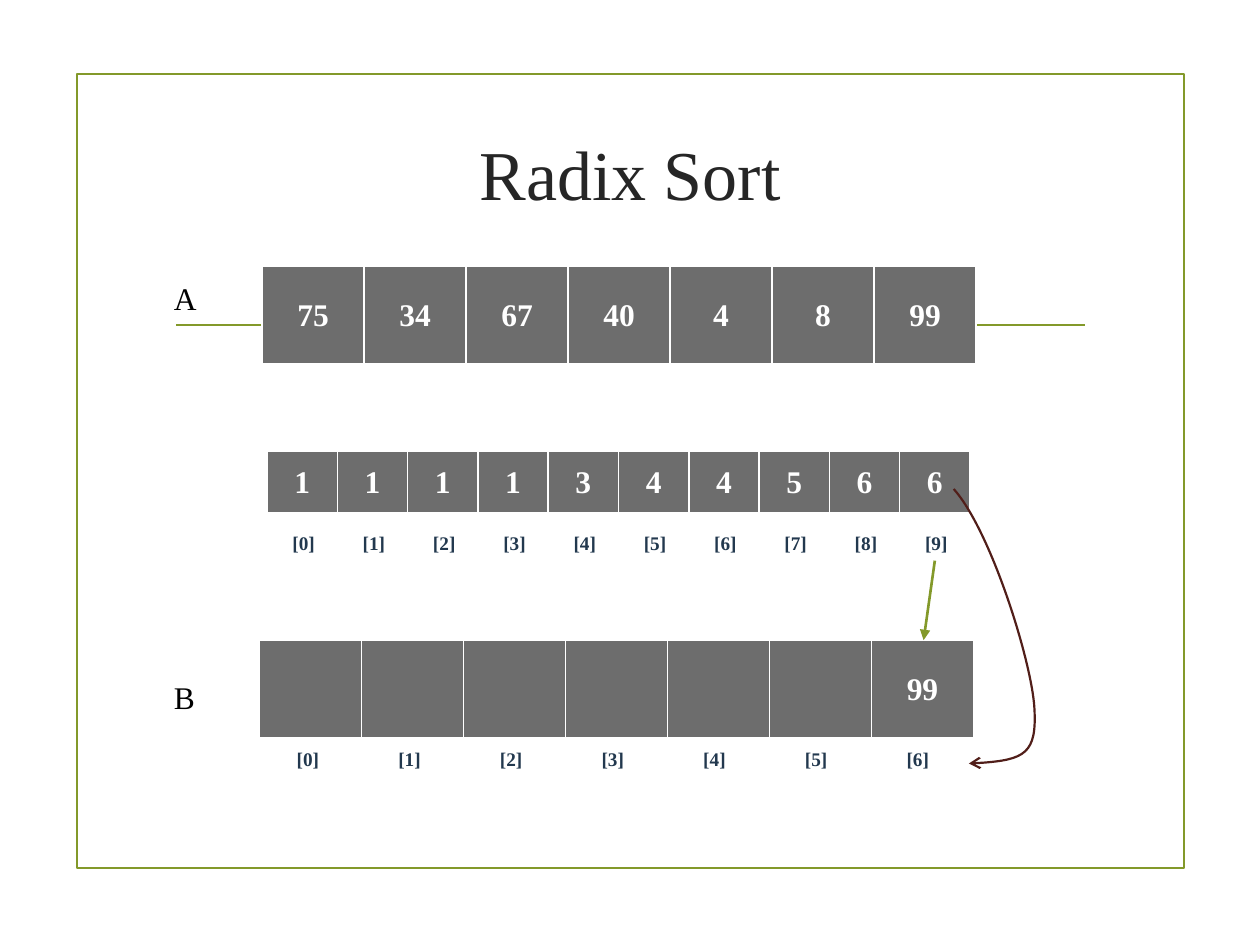
from dataclasses import dataclass
from typing import Optional

from lxml.etree import SubElement
from pptx import Presentation
from pptx.dml.color import RGBColor
from pptx.enum.shapes import MSO_CONNECTOR as Connector, MSO_SHAPE as Shape
from pptx.enum.text import MSO_ANCHOR as Anchor, MSO_AUTO_SIZE as AutoSize, PP_ALIGN as Align
from pptx.oxml.ns import qn
from pptx.util import Pt

FONT = "Times New Roman"
NO_STYLE = "{2D5ABB26-0587-4C30-8999-92F81FD0307C}"
COLORS = {
    "accent": "83992A",
    "title": "262626",
    "cell": "6D6D6D",
    "white": "FFFFFF",
    "index": "22384E",
    "letter": "000000",
    "curve": "511E19",
}
BORDERS = {"a:lnL": 1, "a:lnR": 1, "a:lnT": 1, "a:lnB": 3}


@dataclass
class ArrayRow:
    values: list[str]
    left: float
    top: float
    cell_width: float
    height: float
    size: float = 18
    color: str = "white"
    fill: Optional[str] = "cell"


@dataclass
class Letter:
    text: str
    left: float
    top: float


def indices(count: int) -> list[str]:
    return [f"[{number}]" for number in range(count)]


def rgb(name: str) -> RGBColor:
    return RGBColor.from_string(COLORS[name])


def format_para(para, size: float, color: str, bold: bool = False) -> None:
    for span in para.runs:
        span.font.name = FONT
        span.font.size = Pt(size)
        span.font.bold = bold
        span.font.color.rgb = rgb(color)


def set_line(line, color: str, width: float) -> None:
    line.color.rgb = rgb(color)
    line.width = Pt(width)


def add_arrowhead(shape, kind: str) -> None:
    SubElement(shape.line._get_or_add_ln(), qn("a:tailEnd"), type=kind)


def add_borders(cell) -> None:
    properties = cell._tc.get_or_add_tcPr()
    for position, (side, width) in enumerate(BORDERS.items()):
        border = SubElement(properties, qn(side), w=str(Pt(width)))
        fill = SubElement(border, qn("a:solidFill"))
        SubElement(fill, qn("a:srgbClr"), val=COLORS["white"])
        properties.insert(position, border)


def draw_array(slide, row: ArrayRow) -> None:
    count = len(row.values)
    frame = slide.shapes.add_table(
        1, count, Pt(row.left), Pt(row.top), Pt(row.cell_width * count), Pt(row.height)
    )
    table = frame.table
    table.first_row = table.horz_banding = False
    table._tbl.tblPr.find(qn("a:tableStyleId")).text = NO_STYLE
    for column, value in enumerate(row.values):
        table.columns[column].width = Pt(row.cell_width)
        cell = table.cell(0, column)
        cell.vertical_anchor = Anchor.MIDDLE
        if row.fill:
            cell.fill.solid()
            cell.fill.fore_color.rgb = rgb(row.fill)
            add_borders(cell)
        else:
            cell.fill.background()
        if value:
            para = cell.text_frame.paragraphs[0]
            para.text = value
            para.alignment = Align.CENTER
            format_para(para, row.size, row.color, bold=True)


def draw_line(slide, start: tuple, end: tuple, width: float):
    line = slide.shapes.add_connector(
        Connector.STRAIGHT, Pt(start[0]), Pt(start[1]), Pt(end[0]), Pt(end[1])
    )
    set_line(line.line, "accent", width)
    SubElement(line._element.spPr, qn("a:effectLst"))
    return line


def draw_letter(slide, letter: Letter) -> None:
    box = slide.shapes.add_textbox(Pt(letter.left), Pt(letter.top), Pt(26), Pt(28.8))
    box.text_frame.word_wrap = False
    box.text_frame.auto_size = AutoSize.SHAPE_TO_FIT_TEXT
    box.text_frame.text = letter.text
    format_para(box.text_frame.paragraphs[0], 18, "letter")


def draw_curve(slide, points: list[tuple]) -> None:
    start, *controls = [(Pt(x), Pt(y)) for x, y in points]
    builder = slide.shapes.build_freeform(*start)
    builder.add_line_segments(controls, close=False)
    curve = builder.convert_to_shape()
    outline = curve._element.xpath(".//a:path")[0]
    segments = outline.findall(qn("a:lnTo"))
    for first in range(0, len(segments), 3):
        bezier = SubElement(outline, qn("a:cubicBezTo"))
        for segment in segments[first:first + 3]:
            bezier.append(segment[0])
            outline.remove(segment)
    curve.shadow.inherit = False
    curve.fill.background()
    set_line(curve.line, "curve", 1.25)
    add_arrowhead(curve, "arrow")


def draw_frame(slide) -> None:
    frame = slide.shapes.add_shape(Shape.RECTANGLE, Pt(43.9), Pt(42.5), Pt(632.9), Pt(453.6))
    frame.shadow.inherit = False
    frame.fill.background()
    set_line(frame.line, "accent", 1.25)


def write_title(slide, text: str) -> None:
    title = slide.shapes.title
    title.left, title.top, title.width, title.height = Pt(92.2), Pt(46.8), Pt(535.7), Pt(103)
    title.text_frame.text = text
    title.text_frame.vertical_anchor = Anchor.MIDDLE
    para = title.text_frame.paragraphs[0]
    para.alignment = Align.CENTER
    format_para(para, 40, "title")


ARRAYS = [
    ArrayRow(["75", "34", "67", "40", "4", "8", "99"], 149.8, 151.9, 58.3, 56.9),
    ArrayRow(["1", "1", "1", "1", "3", "4", "4", "5", "6", "6"], 152.6, 257.8, 40.18, 36),
    ArrayRow(indices(10), 153.4, 299.5, 40.18, 23, 11, "index", None),
    ArrayRow([""] * 6 + ["99"], 148.3, 365.8, 58.3, 56.9),
    ArrayRow(indices(7), 146.9, 422.6, 58.1, 23, 11, "index", None),
]
LETTERS = [Letter("A", 92.2, 156.2), Letter("B", 92.2, 383.8)]
CURVE = [
    (545, 279.4),
    (566.6, 303.8), (589.7, 378.7), (591.1, 404.6),
    (592.6, 430.6), (584.6, 434.9), (553.7, 436.3),
]


def main() -> None:
    deck = Presentation()
    deck.slide_width, deck.slide_height = Pt(720), Pt(540)
    page = deck.slides.add_slide(deck.slide_layouts[5])
    draw_frame(page)
    draw_line(page, (100.8, 185.8), (619.9, 185.8), 1.25)
    write_title(page, "Radix Sort")
    for row in ARRAYS:
        draw_array(page, row)
    add_arrowhead(draw_line(page, (534.2, 320.4), (527.8, 365.8), 1.5), "triangle")
    for letter in LETTERS:
        draw_letter(page, letter)
    draw_curve(page, CURVE)
    deck.save("out.pptx")


if __name__ == "__main__":
    main()
